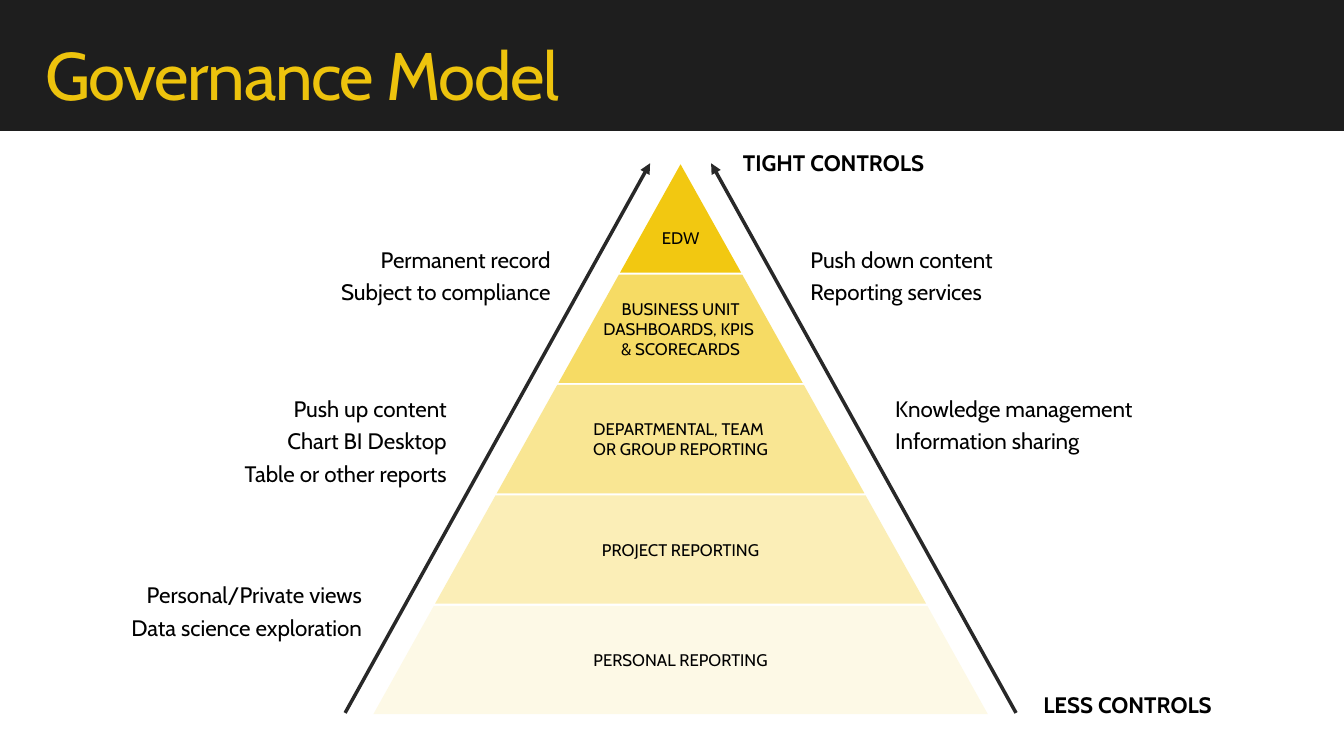
from dataclasses import dataclass

from lxml.etree import SubElement
from pptx import Presentation
from pptx.dml.color import RGBColor
from pptx.enum.shapes import MSO_CONNECTOR, MSO_SHAPE
from pptx.enum.text import MSO_ANCHOR, PP_ALIGN
from pptx.oxml.ns import qn
from pptx.shapes.base import BaseShape
from pptx.slide import Slide
from pptx.text.text import TextFrame, _Paragraph
from pptx.util import Emu, Inches, Pt

SLIDE_WIDTH = Inches(13.33)
SLIDE_HEIGHT = Inches(7.5)


@dataclass(frozen=True)
class Theme:
    font: str = "Cabin"
    header: RGBColor = RGBColor(0x1E, 0x1E, 0x1E)
    title: RGBColor = RGBColor(0xED, 0xC3, 0x0D)
    pyramid: RGBColor = RGBColor(0xF2, 0xC8, 0x11)
    text: RGBColor = RGBColor(0, 0, 0)
    arrow: RGBColor = RGBColor(0x28, 0x28, 0x28)
    title_size: int = 48
    note_size: int = 16
    tier_size: int = 12
    arrow_width: float = 2.5


@dataclass(frozen=True)
class Tier:
    lines: tuple[str, ...]
    opacity: int
    label_drop: float = 0


@dataclass(frozen=True)
class Note:
    """Text beside the pyramid; edge is the side the lines align to."""
    lines: tuple[str, ...]
    edge: float
    top: float
    align: PP_ALIGN = PP_ALIGN.LEFT
    heading: bool = False


THEME = Theme()

# All lengths below are percentages of the slide's width or height.
HEADER_HEIGHT = 17.33
AXIS = 50.64
APEX = 21.73
BASE = 94.53
HALF_BASE = 22.88
TIER_PITCH = 14.6
TIER_GAP = 0.27
LABEL_WIDTH = 16
NOTE_WIDTH = 22
NOTE_HEIGHT = 9
ARROW_START = (24.96, 94.3)
ARROW_END = (2.27, 21.6)

TIERS = (
    Tier(("EDW",), 100, 2.5),
    Tier(("BUSINESS UNIT", "DASHBOARDS, KPIS ", "& SCORECARDS"), 65),
    Tier(("DEPARTMENTAL, TEAM ", "OR GROUP REPORTING"), 45),
    Tier(("PROJECT REPORTING",), 30),
    Tier(("PERSONAL REPORTING",), 10),
)

NOTES = (
    Note(("TIGHT CONTROLS",), 54.54, 19.07, heading=True),
    Note(("LESS CONTROLS",), 76.89, 90.8, heading=True),
    Note(("Permanent record", "Subject to compliance"), 41.71, 32.27, PP_ALIGN.RIGHT),
    Note(("Push up content", "Chart BI Desktop", "Table or other reports"),
         33.98, 52, PP_ALIGN.RIGHT),
    Note(("Personal/Private views", "Data science exploration"),
         27.68, 76.67, PP_ALIGN.RIGHT),
    Note(("Push down content", "Reporting services"), 59.56, 32.27),
    Note(("Knowledge management", "Information sharing"), 65.87, 52),
)


def across(share: float) -> Emu:
    return Emu(round(SLIDE_WIDTH * share / 100))


def down(share: float) -> Emu:
    return Emu(round(SLIDE_HEIGHT * share / 100))


def paint(shape: BaseShape, color: RGBColor, opacity: int = 100) -> None:
    shape.shadow.inherit = False
    shape.fill.solid()
    shape.fill.fore_color.rgb = color
    shape.line.fill.background()
    if opacity < 100:
        for fill_color in shape.element.spPr.iter(qn("a:srgbClr")):
            SubElement(fill_color, qn("a:alpha")).set("val", str(opacity * 1000))


def add_run(paragraph: _Paragraph, text: str, size: int,
            color: RGBColor = THEME.text, bold: bool = False) -> None:
    run = paragraph.add_run()
    run.text = text
    run.font.name = THEME.font
    run.font.size = Pt(size)
    run.font.color.rgb = color
    run.font.bold = bold


def add_text_frame(slide: Slide, left: float, top: float,
                   width: float, height: float) -> TextFrame:
    box = slide.shapes.add_textbox(across(left), down(top), across(width), down(height))
    return box.text_frame


def add_header(slide: Slide) -> None:
    title = slide.shapes.title
    band = slide.shapes.add_shape(MSO_SHAPE.RECTANGLE, 0, 0, SLIDE_WIDTH, down(HEADER_HEIGHT))
    paint(band, THEME.header)
    title.element.addprevious(band.element)

    title.left, title.top = across(2.18), down(4.27)
    title.width, title.height = across(95.65), down(13.07)
    frame = title.text_frame
    frame.margin_left = frame.margin_right = Inches(0.16)
    frame.margin_top = frame.margin_bottom = Inches(0.1)
    frame.vertical_anchor = MSO_ANCHOR.TOP
    heading = frame.paragraphs[0]
    heading.alignment = PP_ALIGN.LEFT
    heading.line_spacing = 0.9
    add_run(heading, "Governance Model", THEME.title_size, THEME.title)
    heading.runs[0].font._element.set("spc", "-100")


def half_width(level: float) -> float:
    """Half the pyramid's width at a given height on the slide."""
    return HALF_BASE * (level - APEX) / (BASE - APEX)


def add_tier(slide: Slide, index: int, tier: Tier) -> None:
    top = APEX + index * TIER_PITCH
    height = TIER_PITCH - TIER_GAP
    bottom = top + height
    corners = [(across(AXIS + side * half_width(level)), down(level))
               for side, level in ((-1, top), (1, top), (1, bottom), (-1, bottom))]
    if index == 0:
        del corners[0]
    outline = slide.shapes.build_freeform(*corners[0])
    outline.add_line_segments(corners[1:], close=True)
    paint(outline.convert_to_shape(), THEME.pyramid, tier.opacity)

    frame = add_text_frame(slide, AXIS - LABEL_WIDTH / 2, top + tier.label_drop,
                           LABEL_WIDTH, height)
    frame.word_wrap = False
    frame.vertical_anchor = MSO_ANCHOR.MIDDLE
    label = frame.paragraphs[0]
    label.alignment = PP_ALIGN.CENTER
    for number, line in enumerate(tier.lines):
        if number:
            label.add_line_break()
        add_run(label, line, THEME.tier_size)


def add_note(slide: Slide, note: Note) -> None:
    left = note.edge - (NOTE_WIDTH if note.align == PP_ALIGN.RIGHT else 0)
    frame = add_text_frame(slide, left, note.top, NOTE_WIDTH, NOTE_HEIGHT)
    frame.word_wrap = True
    for number, line in enumerate(note.lines):
        paragraph = frame.add_paragraph() if number else frame.paragraphs[0]
        paragraph.alignment = note.align
        if not note.heading:
            paragraph.line_spacing = 0.9
            paragraph.space_after = Pt(6)
        add_run(paragraph, line, THEME.note_size, bold=note.heading)


def add_control_arrow(slide: Slide, side: int) -> None:
    """Upward arrow along the left (-1) or right (1) flank."""
    (start, low), (end, high) = ARROW_START, ARROW_END
    arrow = slide.shapes.add_connector(
        MSO_CONNECTOR.STRAIGHT, across(AXIS + side * start), down(low),
        across(AXIS + side * end), down(high))
    arrow.line.color.rgb = THEME.arrow
    arrow.line.width = Pt(THEME.arrow_width)
    properties = arrow.element.spPr
    SubElement(properties.find(qn("a:ln")), qn("a:tailEnd")).set("type", "triangle")
    SubElement(properties, qn("a:effectLst"))


def main() -> None:
    presentation = Presentation()
    presentation.slide_width = SLIDE_WIDTH
    presentation.slide_height = SLIDE_HEIGHT
    slide = presentation.slides.add_slide(presentation.slide_layouts.get_by_name("Title Only"))
    add_header(slide)
    for index, tier in enumerate(TIERS):
        add_tier(slide, index, tier)
    for note in NOTES:
        add_note(slide, note)
    for side in (-1, 1):
        add_control_arrow(slide, side)
    presentation.save("out.pptx")


if __name__ == "__main__":
    main()
